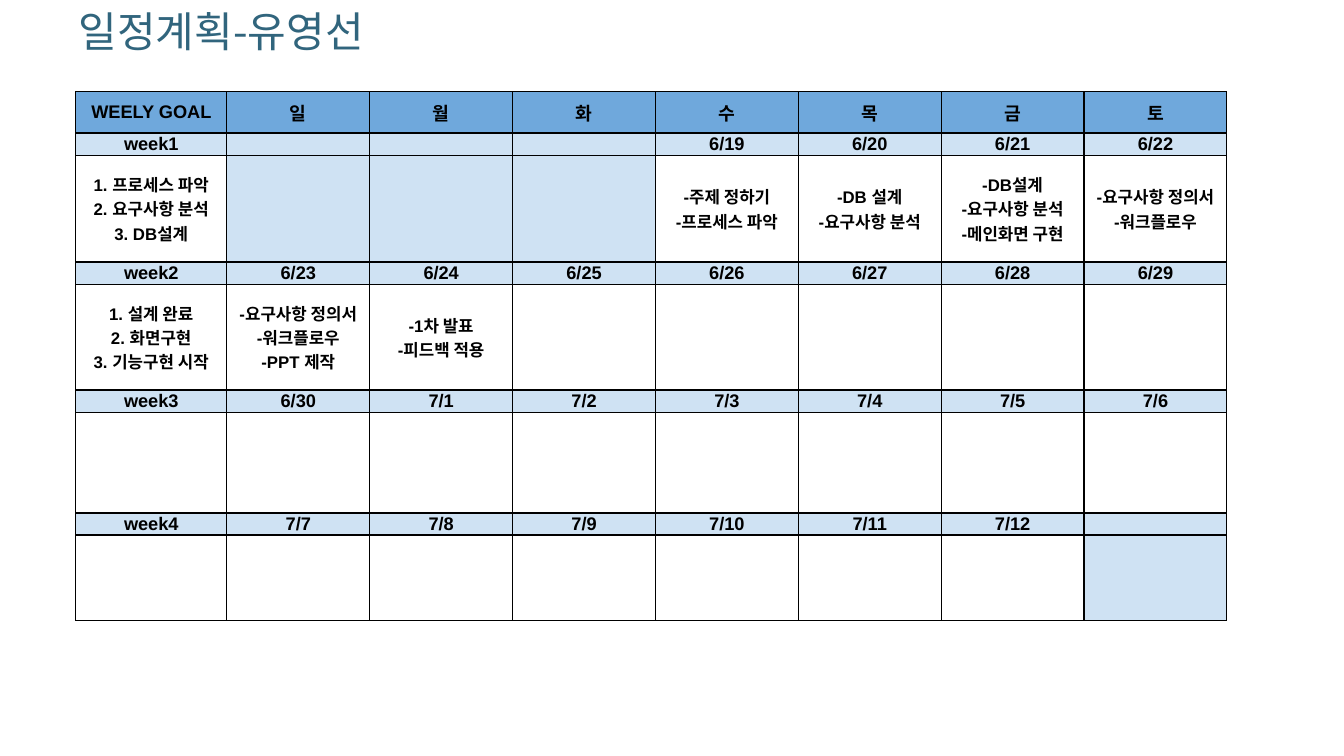
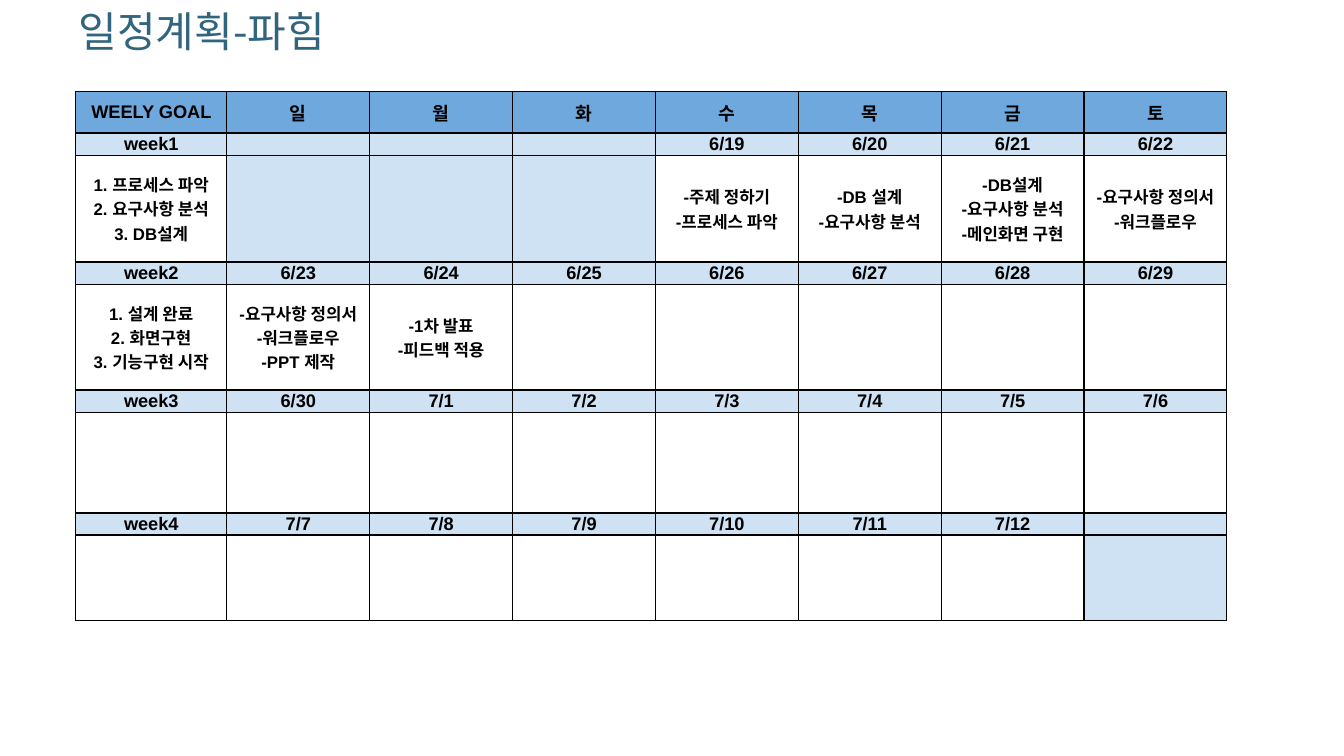
from dataclasses import dataclass

from lxml import etree
from pptx import Presentation
from pptx import util as u
from pptx.dml.color import RGBColor
from pptx.enum import text
from pptx.oxml.ns import qn

PX = 9144  # EMU in one px (100 px to the inch)


@dataclass(frozen=True)
class Theme:
    title: str = "31657D"
    ink: str = "000000"
    head: str = "6FA8DC"
    tint: str = "CFE2F3"
    paper: str = "FFFFFF"
    latin: str = "Arial"
    asian: str = "Noto Sans CJK KR"
    title_pt: int = 30
    head_pt: int = 13
    plan_pt: int = 12
    rule_pt: int = 1


T = Theme()

# Calendar: days are counted from June 1, so 31 is July 1
HEADS = ["WEELY GOAL", *"일월화수목금토"]
SUNDAY, FIRST, LAST, JUNE = 16, 19, 42, 30
HEAD_H, DATE_H = 41, 22
PLAN_H = [106, 105, 100, 85]
GOALS = {
    1: "1. 프로세스 파악\n2. 요구사항 분석\n3. DB설계",
    2: "1. 설계 완료\n2. 화면구현\n3. 기능구현 시작",
}
PLANS = {
    19: "-주제 정하기\n-프로세스 파악",
    20: "-DB 설계\n-요구사항 분석",
    21: "-DB설계\n-요구사항 분석\n-메인화면 구현",
    22: "-요구사항 정의서\n-워크플로우",
    23: "-요구사항 정의서\n-워크플로우\n-PPT 제작",
    24: "-1차 발표\n-피드백 적용",
}
OWNERS = ["유영선", "파힘"]


def px(n):
    return u.Emu(n * PX)


def style(para, size, color, latin, bold=False):
    """Format a paragraph, with one typeface for Korean text."""
    font = para.font
    font.size, font.bold, font.name = u.Pt(size), bold, latin
    font.color.rgb = RGBColor.from_string(color)
    props = para._p.pPr.find(qn("a:defRPr"))
    etree.SubElement(props, qn("a:ea"), typeface=T.asian)


def title(slide, label):
    shape = slide.shapes.title
    shape.left, shape.top, shape.width, shape.height = map(px, (59, 0, 434, 61))
    frame = shape.text_frame
    frame.text = label
    frame.margin_left = px(19)
    frame.margin_top = frame.margin_bottom = 0
    frame.vertical_anchor = text.MSO_ANCHOR.MIDDLE
    para = frame.paragraphs[0]
    para.alignment = text.PP_ALIGN.LEFT
    style(para, T.title_pt, T.title, T.asian)


def border(cell):
    props = cell._tc.get_or_add_tcPr()
    for side in ("lnL", "lnR", "lnT", "lnB"):
        line = etree.SubElement(props, qn(f"a:{side}"), w=str(u.Pt(T.rule_pt)))
        fill = etree.SubElement(line, qn("a:solidFill"))
        etree.SubElement(fill, qn("a:srgbClr"), val=T.ink)


def put(cell, label, size, fill):
    """Fill one table cell; each line of the label is a paragraph."""
    border(cell)
    cell.fill.solid()
    cell.fill.fore_color.rgb = RGBColor.from_string(fill)
    cell.margin_left = cell.margin_right = 0
    cell.margin_top = cell.margin_bottom = 0
    cell.vertical_anchor = text.MSO_ANCHOR.MIDDLE
    cell.text_frame.text = label
    for para in cell.text_frame.paragraphs:
        para.alignment = text.PP_ALIGN.CENTER
        style(para, size, T.ink, T.latin, bold=True)
        if not label:  # keeps an empty row from growing
            etree.SubElement(para._p, qn("a:endParaRPr"), sz=str(size * 100))


def date(day):
    return f"6/{day}" if day <= JUNE else f"7/{day - JUNE}"


def week(table, num):
    """Write the date row and the plan row of one week."""
    row = 2 * num - 1
    put(table.cell(row, 0), f"week{num}", T.head_pt, T.tint)
    put(table.cell(row + 1, 0), GOALS.get(num, ""), T.plan_pt, T.paper)
    for col in range(1, 8):
        day = SUNDAY + 7 * (num - 1) + col - 1
        used = FIRST <= day <= LAST
        put(table.cell(row, col), date(day) if used else "", T.head_pt, T.tint)
        put(table.cell(row + 1, col), PLANS.get(day, ""), T.plan_pt,
            T.paper if used else T.tint)


def plan(slide):
    heights = [HEAD_H]
    for high in PLAN_H:
        heights += [DATE_H, high]
    wide, goal = 1142, 150
    frame = slide.shapes.add_table(len(heights), len(HEADS), px(75), px(91),
                                   px(wide), px(sum(heights)))
    table = frame.table
    table.first_row = table.horz_banding = False
    for row, high in zip(table.rows, heights):
        row.height = px(high)
    for num, col in enumerate(table.columns):
        col.width = px(goal) if num == 0 else u.Emu(px(wide - goal) // 7)
    for num, head in enumerate(HEADS):
        put(table.cell(0, num), head, T.head_pt, T.head)
    for num in range(1, len(PLAN_H) + 1):
        week(table, num)


def main():
    deck = Presentation()
    deck.slide_width, deck.slide_height = px(1333), px(750)
    for owner in OWNERS:
        slide = deck.slides.add_slide(deck.slide_layouts[5])
        title(slide, f"일정계획-{owner}")
        plan(slide)
    deck.save("out.pptx")


if __name__ == "__main__":
    main()
